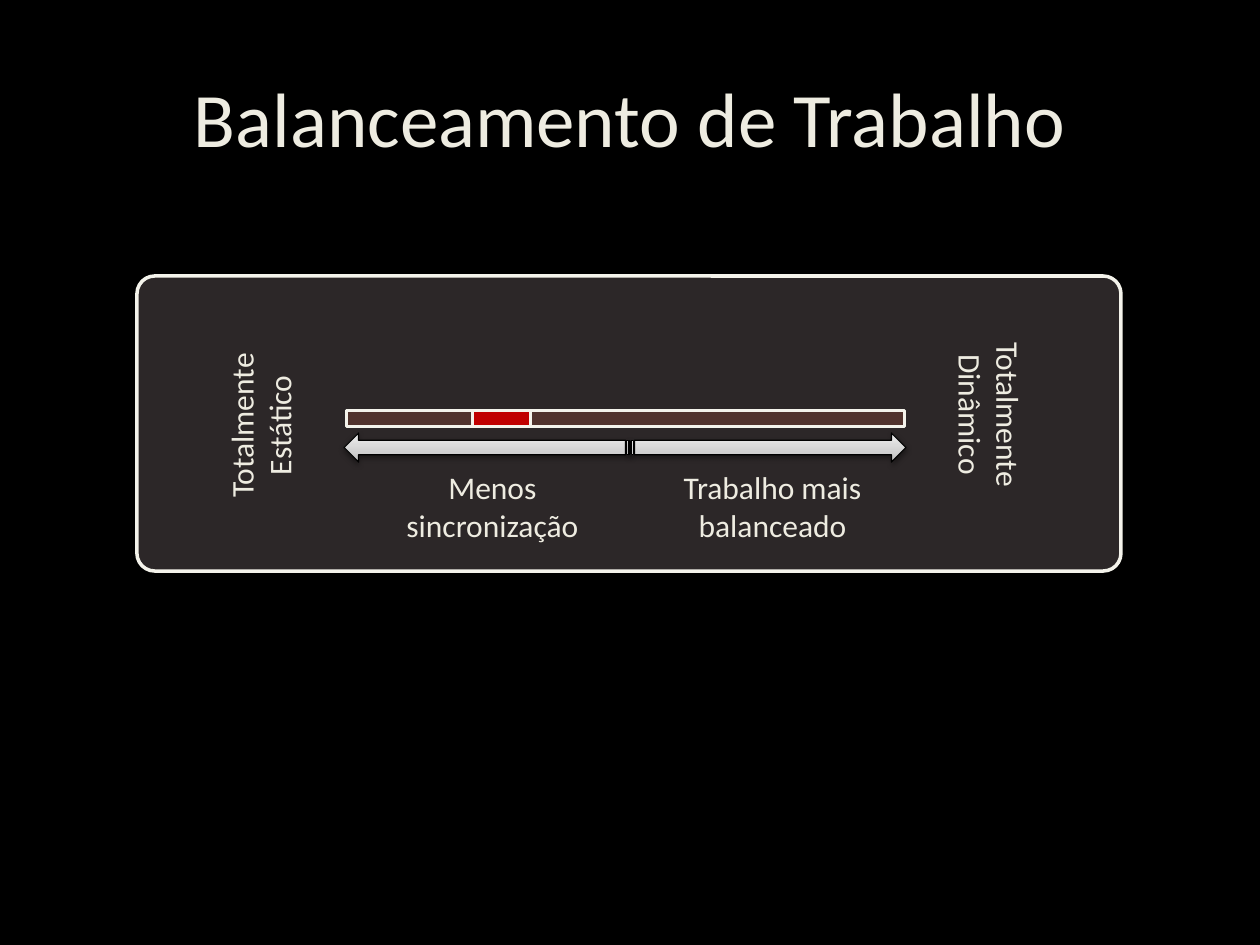
from lxml import etree
from pptx import Presentation
from pptx.dml.color import RGBColor
from pptx.enum.shapes import MSO_SHAPE
from pptx.enum.text import MSO_ANCHOR, PP_ALIGN
from pptx.oxml import parse_xml
from pptx.oxml.ns import qn
from pptx.util import Pt

PANEL = MSO_SHAPE.ROUNDED_RECTANGLE
MINUS = MSO_SHAPE.MATH_MINUS
ARROW = MSO_SHAPE.STRIPED_RIGHT_ARROW
MIDDLE, TOP = MSO_ANCHOR.MIDDLE, MSO_ANCHOR.TOP
CENTER = PP_ALIGN.CENTER
SCALE = 914400 / 126
NS = "http://schemas.openxmlformats.org/drawingml/2006/main"
CREAM, EDGE = "EEECE1", "F4F3EB"

# Content: boxes are left, top, width, height
TITLE = (["Balanceamento de Trabalho"], (63, 38, 1134, 158), 0)
LABELS = [
    (["Menos", "sincronização"], (393, 462, 199, 89), 0),
    (["Trabalho mais", "balanceado"], (669, 462, 207, 89), 0),
    (["Totalmente", "Estático"], (161, 381, 199, 89), 270),
    (["Totalmente", "Dinâmico"], (890, 370, 199, 89), 90),
]
# kind, box, fill, opacity in percent
BACK = [
    (PANEL, (137, 276, 984, 295), "564C4D", 52),
    (MINUS, (246, 384, 759, 69), "844534", 43),
]
MARKER = (MINUS, (462, 384, 79, 69), "C00000", 100)
MID = 630
ARROWS = [((344, 433, MID - 344, 29), True), ((MID, 433, 276, 29), False)]
STOPS = [(0, "BDBDBD"), (35, "D1D1D1"), (100, "EEEEEE")]


def color(text):
    return RGBColor.from_string(text)


def place(box):
    return [round(v * SCALE) for v in box]


def add_text(item, size, anchor):
    lines, box, turn = item
    shape = slide.shapes.add_textbox(*place(box))
    shape.rotation = turn
    frame = shape.text_frame
    frame.word_wrap = True
    frame.vertical_anchor = anchor
    frame.text = "\n".join(lines)
    for para in frame.paragraphs:
        para.alignment = CENTER
        para.font.size = Pt(size)
        para.font.name = "Calibri"
        para.font.color.rgb = color(CREAM)


def add_part(kind, box, line, width):
    shape = slide.shapes.add_shape(kind, *place(box))
    shape.shadow.inherit = False
    shape.line.color.rgb = color(line)
    shape.line.width = Pt(width)
    return shape


def add_solid(kind, box, fill, alpha):
    shape = add_part(kind, box, EDGE, 2)
    shape.fill.solid()
    shape.fill.fore_color.rgb = color(fill)
    if alpha < 100:
        tint = shape._element.spPr.find(qn("a:solidFill"))[0]
        etree.SubElement(tint, qn("a:alpha"), val=str(alpha * 1000))
    if kind == PANEL:
        shape.adjustments[0] = 0.06


def add_arrow(box, flip):
    shape = add_part(ARROW, box, "000000", 0.75)
    props = shape._element.spPr
    if flip:
        props.xfrm.set("flipH", "1")
    # Gradient
    stops = "".join(f'<a:gs pos="{pos * 1000}"><a:srgbClr val="{tone}"/></a:gs>'
                    for pos, tone in STOPS)
    props.find(qn("a:ln")).addprevious(parse_xml(
        f'<a:gradFill xmlns:a="{NS}" rotWithShape="1"><a:gsLst>{stops}</a:gsLst>'
        '<a:lin ang="16200000" scaled="0"/></a:gradFill>'))
    # Shadow
    props.find(qn("a:effectLst")).append(parse_xml(
        f'<a:outerShdw xmlns:a="{NS}" blurRad="40000" dist="20000" dir="5400000" '
        'rotWithShape="0"><a:srgbClr val="000000"><a:alpha val="38000"/>'
        '</a:srgbClr></a:outerShdw>'))


deck = Presentation()
deck.slide_width, deck.slide_height = place((1260, 945))
slide = deck.slides.add_slide(deck.slide_layouts[6])
slide.background.fill.solid()
slide.background.fill.fore_color.rgb = color("000000")

# Title, panel and scale
add_text(TITLE, 44, MIDDLE)
for part in BACK:
    add_solid(*part)
for arrow in ARROWS:
    add_arrow(*arrow)

# Labels and marker
for label in LABELS:
    add_text(label, 18, TOP)
add_solid(*MARKER)

deck.save("out.pptx")
